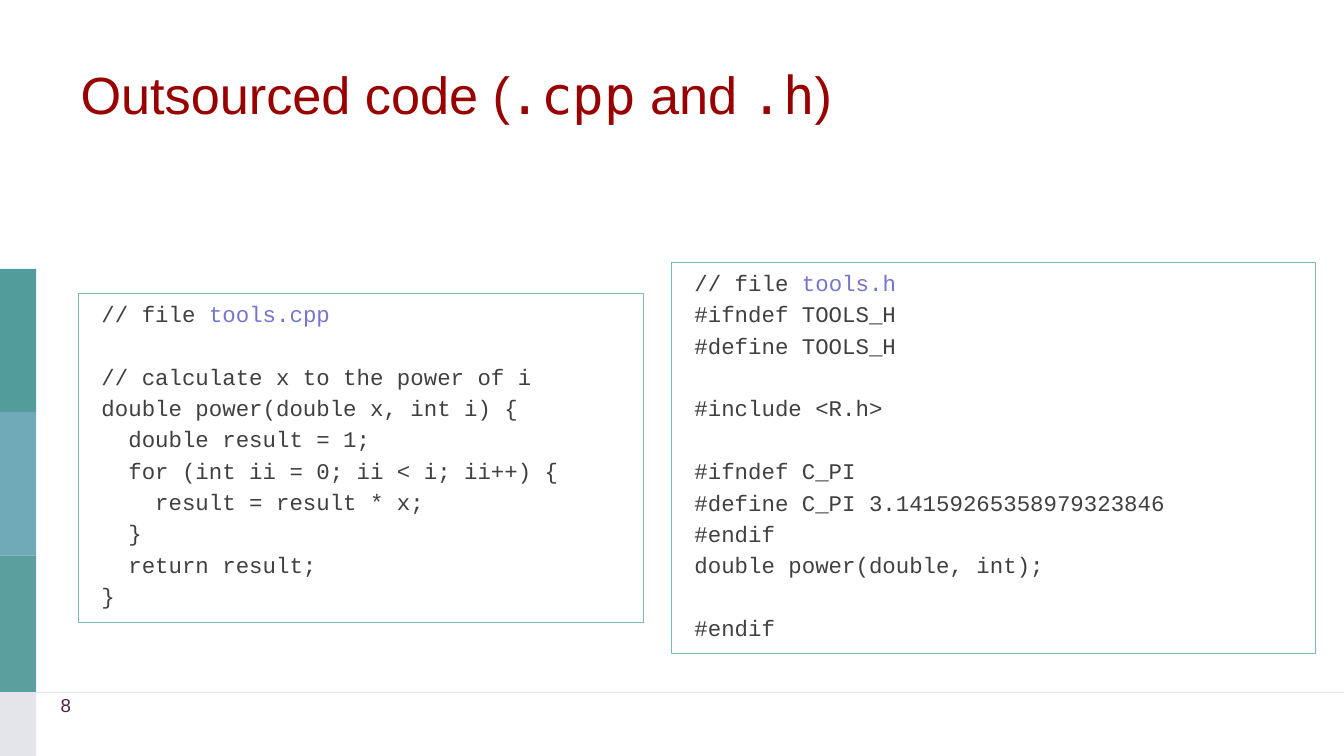
"""Build a slide showing a C++ source file beside its header."""
from pptx import Presentation, util as u
from pptx.dml.color import RGBColor
from pptx.enum import shapes, text
from pptx.oxml.ns import qn
from lxml import etree

prs = Presentation()
prs.slide_width = u.Inches(10)
prs.slide_height = prs.slide_width * 9 // 16
s = prs.slides.add_slide(prs.slide_layouts[5])
CELL = prs.slide_width // 100
RECT = shapes.MSO_SHAPE.RECTANGLE
CODE = {"name": "Courier New", "size": u.Pt(12)}
LINE_PITCH, LINE_GAP = 16.8, 2.4


def cells(*counts):
    return [round(n * CELL) for n in counts]


def add_run(p, words, color, fmt):
    r = p.add_run()
    r.text = words
    for key, value in fmt.items():
        setattr(r.font, key, value)
    r.font.color.rgb = RGBColor.from_string(color)


rail = [(20, 30.65, "539C9C"), (30.65, 41.35, "70AAB9"),
        (41.35, 51.5, "5C9F9F"), (51.5, 56.25, "E4E5EA")]
rule = s.shapes.add_connector(shapes.MSO_CONNECTOR.STRAIGHT, *cells(0, 51.5, 100, 51.5))
rule.line.color.rgb = RGBColor.from_string("E4E5EA")
rule.line.width = u.Pt(0.5)
etree.SubElement(rule._element.spPr, qn("a:effectLst"))
for top, bottom, color in rail:
    sp = s.shapes.add_shape(RECT, *cells(0, top, 2.7, bottom - top))
    sp.shadow.inherit = False
    sp.fill.solid()
    sp.fill.fore_color.rgb = RGBColor.from_string(color)
    sp.line.fill.background()

title = s.shapes.title
title.left, title.top, title.width, title.height = cells(5, 2.3, 90, 9.4)
tf = title.text_frame
tf.vertical_anchor = text.MSO_ANCHOR.MIDDLE
p = tf.paragraphs[0]
p.alignment = text.PP_ALIGN.LEFT
for words, font in [("Outsourced code (", "Arial"), (".cpp", "DejaVu Sans Mono"),
                    (" and ", "Arial"), (".h", "DejaVu Sans Mono"), (")", "Arial")]:
    add_run(p, words, "990000", {"name": font, "size": u.Pt(28)})

number = s.shapes.add_textbox(*cells(3.53, 51.15, 23.3, 3.9))
number.text_frame.word_wrap = True
add_run(number.text_frame.paragraphs[0], "8", "4D2345", {"name": "Arial", "size": u.Pt(10)})

source = """
// calculate x to the power of i
double power(double x, int i) {
  double result = 1;
  for (int ii = 0; ii < i; ii++) {
    result = result * x;
  }
  return result;
}"""
header = """#ifndef TOOLS_H
#define TOOLS_H

#include <R.h>

#ifndef C_PI
#define C_PI 3.14159265358979323846
#endif
double power(double, int);

#endif"""
for file_name, code, box in [("tools.cpp", source, (5.85, 21.83, 42.05, 24.5)),
                             ("tools.h", header, (49.97, 19.53, 47.9, 29.1))]:
    sp = s.shapes.add_shape(RECT, *cells(*box))
    sp.shadow.inherit = False
    sp.fill.background()
    sp.line.color.rgb = RGBColor.from_string("7BBABA")
    sp.line.width = u.Pt(0.75)
    tf = sp.text_frame
    for key, value in {"word_wrap": True, "vertical_anchor": text.MSO_ANCHOR.TOP,
                       "margin_left": u.Inches(0.17), "margin_top": u.Inches(0.05)}.items():
        setattr(tf, key, value)
    p = tf.paragraphs[0]
    p.alignment = text.PP_ALIGN.LEFT
    add_run(p, "// file ", "404040", CODE)
    add_run(p, file_name, "7575D1", CODE)
    gap = LINE_GAP
    for line in code.split("\n"):
        if not line:
            gap += LINE_PITCH
            continue
        p = tf.add_paragraph()
        p.alignment = text.PP_ALIGN.LEFT
        p.space_before = u.Pt(gap)
        add_run(p, line, "404040", CODE)
        gap = LINE_GAP

prs.save("out.pptx")
